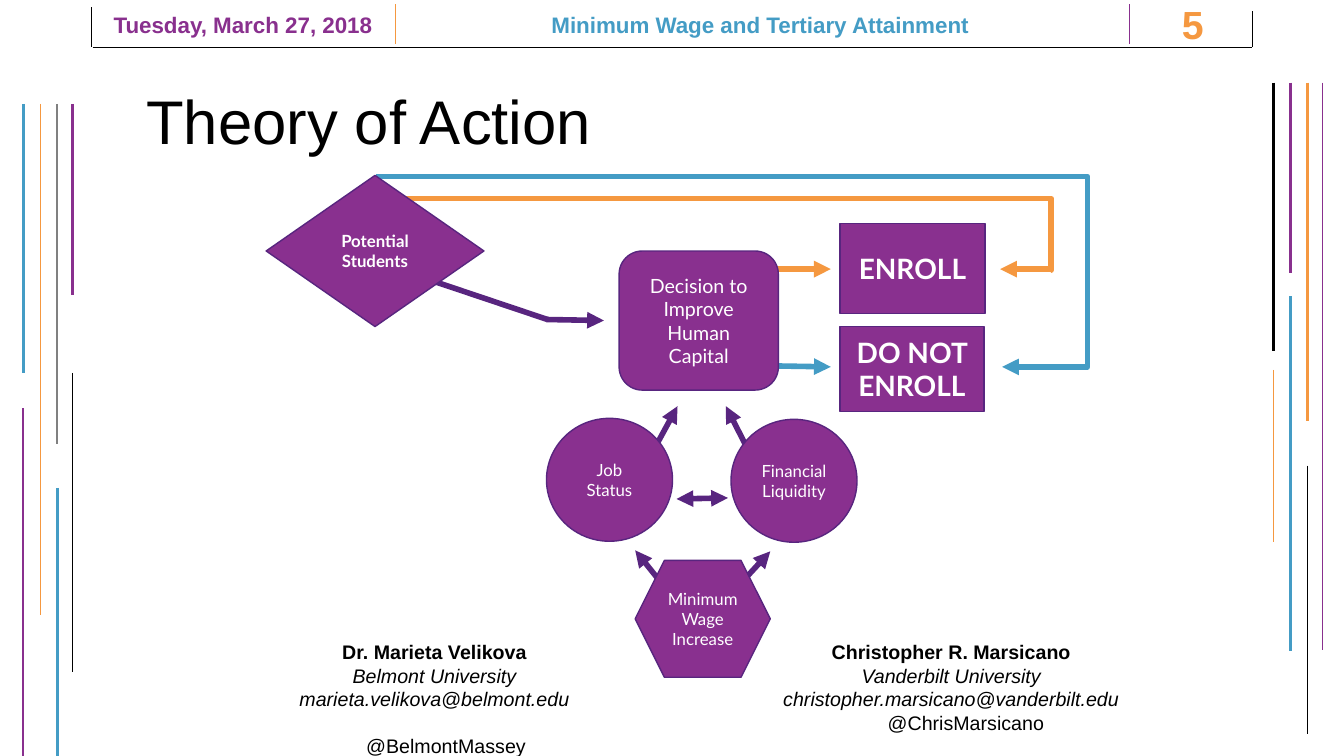
from dataclasses import dataclass

from lxml import etree
from pptx import Presentation
from pptx.dml.color import RGBColor
from pptx.enum import shapes, text
from pptx.oxml import ns
from pptx.util import Inches, Pt


@dataclass(frozen=True)
class Theme:
    purple: str = "89308E"
    node: str = "89308F"
    violet: str = "58257F"
    blue: str = "449CC5"
    orange: str = "F59840"
    gray: str = "808080"
    black: str = "000000"
    white: str = "FFFFFF"
    heading: int = 44
    number: int = 28
    outcome: int = 20
    header: int = 16
    body: int = 14
    small: int = 12
    flow: int = 4
    sans: str = "Arial"
    diagram: str = "Lato"


theme = Theme()
deck = Presentation()
deck.slide_width, deck.slide_height = Inches(13.33), Inches(7.5)
slide = deck.slides.add_slide(deck.slide_layouts[5])


def connect(start, end, color, width, arrows=(), bend=None):
    """Draw a line between two points; arrows holds headEnd/tailEnd, bend the elbow position."""
    kind = shapes.MSO_CONNECTOR.STRAIGHT if bend is None else shapes.MSO_CONNECTOR.ELBOW
    line = slide.shapes.add_connector(kind, *map(Inches, start + end))
    line.line.color.rgb = RGBColor.from_string(color)
    line.line.width = Pt(width)
    properties = line.line._get_or_add_ln()
    for arrow in arrows:
        etree.SubElement(properties, ns.qn(f"a:{arrow}"), type="triangle")
    etree.SubElement(line._element.spPr, ns.qn("a:effectLst"))
    if bend is not None:
        guides = line._element.spPr.find(ns.qn("a:prstGeom")).get_or_add_avLst()
        etree.SubElement(guides, ns.qn("a:gd"), name="adj1", fmla=f"val {round(bend * 100000)}")


def write(paragraph, words, size, color, font, bold=False, italic=False):
    run = paragraph.add_run()
    run.text = words
    run.font.size, run.font.name = Pt(size), font
    run.font.bold, run.font.italic = bold, italic
    run.font.color.rgb = RGBColor.from_string(color)


# Header frame
connect((0.92, 0.47), (12.42, 0.47), theme.black, 0.5)

# Upright rules: x, top, bottom, colour, width
for x, top, bottom, color, width in [
    (0.91, 0.07, 0.47, theme.black, 0.5),
    (3.92, 0.04, 0.44, theme.orange, 0.5),
    (11.2, 0.04, 0.44, theme.purple, 0.5),
    (12.42, 0.11, 0.47, theme.black, 0.5),
    (0.23, 1.03, 3.7, theme.blue, 2.25),
    (0.23, 4.05, 7.5, theme.purple, 1.5),
    (0.4, 1.03, 6.1, theme.orange, 0.5),
    (0.57, 1.03, 4.4, theme.gray, 1.5),
    (0.57, 4.84, 7.5, theme.blue, 2.25),
    (0.72, 1.03, 2.93, theme.purple, 2.25),
    (0.72, 3.7, 6.67, theme.black, 0.5),
    (12.63, 0.82, 3.48, theme.black, 2.25),
    (12.63, 3.67, 5.38, theme.orange, 0.5),
    (12.8, 0.82, 2.71, theme.purple, 1.75),
    (12.8, 2.94, 6.46, theme.blue, 1.75),
    (12.97, 0.82, 4.18, theme.orange, 2.25),
    (12.97, 4.62, 7.28, theme.black, 1),
    (13.12, 0.82, 6.45, theme.purple, 1),
]:
    connect((x, top), (x, bottom), color, width)

# Title
title = slide.shapes.title
title.left, title.top, title.width, title.height = map(Inches, (1.35, 0.83, 11.33, 0.82))
title.text_frame.vertical_anchor = text.MSO_ANCHOR.MIDDLE
title.text_frame.auto_size = text.MSO_AUTO_SIZE.NONE
heading = title.text_frame.paragraphs[0]
heading.alignment = text.PP_ALIGN.LEFT
heading.line_spacing = 0.9
write(heading, "Theory of Action", theme.heading, theme.black, theme.sans)

# Header texts
for left, width, words, size, color in [
    (0.91, 3, "Tuesday, March 27, 2018", theme.header, theme.purple),
    (3.93, 7.22, "Minimum Wage and Tertiary Attainment", theme.header, theme.blue),
    (11.25, 1.16, "5", theme.number, theme.orange),
]:
    frame = slide.shapes.add_textbox(*map(Inches, (left, 0.04, width, 0.4))).text_frame
    frame.word_wrap = True
    frame.vertical_anchor = text.MSO_ANCHOR.MIDDLE
    frame.paragraphs[0].alignment = text.PP_ALIGN.CENTER
    write(frame.paragraphs[0], words, size, color, theme.sans, bold=True)

# Authors: the handle is shifted right by an indent
for left, width, name, school, mail, handle, gap, indent in [
    (2.86, 2.9, "Dr. Marieta Velikova", "Belmont University",
     "marieta.velikova@belmont.edu", "@BelmontMassey", 17, 0.23),
    (7.61, 3.65, "Christopher R. Marsicano", "Vanderbilt University",
     "christopher.marsicano@vanderbilt.edu", "@ChrisMarsicano", 0, 0.29),
]:
    frame = slide.shapes.add_textbox(*map(Inches, (left, 6.3, width, 1.04))).text_frame
    frame.word_wrap = True
    for i, words in enumerate((name, school, mail, handle)):
        paragraph = frame.paragraphs[0] if i == 0 else frame.add_paragraph()
        paragraph.alignment = text.PP_ALIGN.CENTER
        if words == handle:
            paragraph._p.get_or_add_pPr().set("marL", str(Inches(indent)))
            paragraph.space_before = Pt(gap)
        write(paragraph, words, theme.body, theme.black, theme.sans,
              bold=words == name, italic=words in (school, mail))

# Paths of students who skip the decision
connect((10.64, 3.64), (3.73, 1.75), theme.blue, theme.flow, bend=-0.021)
connect((10.42, 2.68), (3.95, 1.97), theme.orange, theme.flow, bend=-0.001)

# Flow arrows
to_end, both = ("tailEnd",), ("headEnd", "tailEnd")
for start, end, color, arrows in [
    ((10.65, 3.64), (9.94, 3.64), theme.blue, to_end),
    ((10.42, 2.67), (9.92, 2.67), theme.orange, to_end),
    ((7.67, 2.67), (8.24, 2.67), theme.orange, to_end),
    ((7.67, 3.63), (8.24, 3.64), theme.blue, to_end),
    ((4.24, 2.77), (5.43, 3.17), theme.violet, ()),
    ((5.42, 3.17), (5.99, 3.18), theme.violet, to_end),
    ((6.3, 4.8), (6.72, 4.03), theme.violet, to_end),
    ((7.58, 4.78), (7.2, 4.03), theme.violet, to_end),
    ((6.71, 4.95), (7.22, 4.94), theme.violet, both),
    ((7.17, 5.98), (7.64, 5.47), theme.violet, to_end),
    ((6.78, 6.06), (6.3, 5.46), theme.violet, to_end),
]:
    connect(start, end, color, theme.flow, arrows)

# Stages of the theory
forms = shapes.MSO_SHAPE
for form, box, lines, size, bold in [
    (forms.DIAMOND, (2.64, 1.74, 2.16, 1.5), ["Potential Students"], theme.small, True),
    (forms.ROUNDED_RECTANGLE, (6.14, 2.49, 1.58, 1.38),
     ["Decision to Improve", "Human Capital"], theme.body, False),
    (forms.RECTANGLE, (8.33, 2.22, 1.44, 0.89), ["ENROLL"], theme.outcome, True),
    (forms.RECTANGLE, (8.33, 3.24, 1.43, 0.84), ["DO NOT ENROLL"], theme.outcome, True),
    (forms.OVAL, (5.42, 4.15, 1.25, 1.22), ["Job Status"], theme.small, False),
    (forms.OVAL, (7.25, 4.16, 1.25, 1.22), ["Financial Liquidity"], theme.small, False),
    (forms.HEXAGON, (6.3, 5.56, 1.34, 1.16), ["Minimum Wage Increase"], theme.small, False),
]:
    stage = slide.shapes.add_shape(form, *map(Inches, box))
    stage.shadow.inherit = False
    stage.fill.solid()
    stage.fill.fore_color.rgb = RGBColor.from_string(theme.node)
    stage.line.color.rgb = RGBColor.from_string(theme.violet)
    stage.line.width = Pt(1)
    frame = stage.text_frame
    frame.word_wrap = True
    frame.vertical_anchor = text.MSO_ANCHOR.MIDDLE
    for i, words in enumerate(lines):
        paragraph = frame.paragraphs[0] if i == 0 else frame.add_paragraph()
        paragraph.alignment = text.PP_ALIGN.CENTER
        write(paragraph, words, size, theme.white, theme.diagram, bold=bold)

deck.save("out.pptx")
